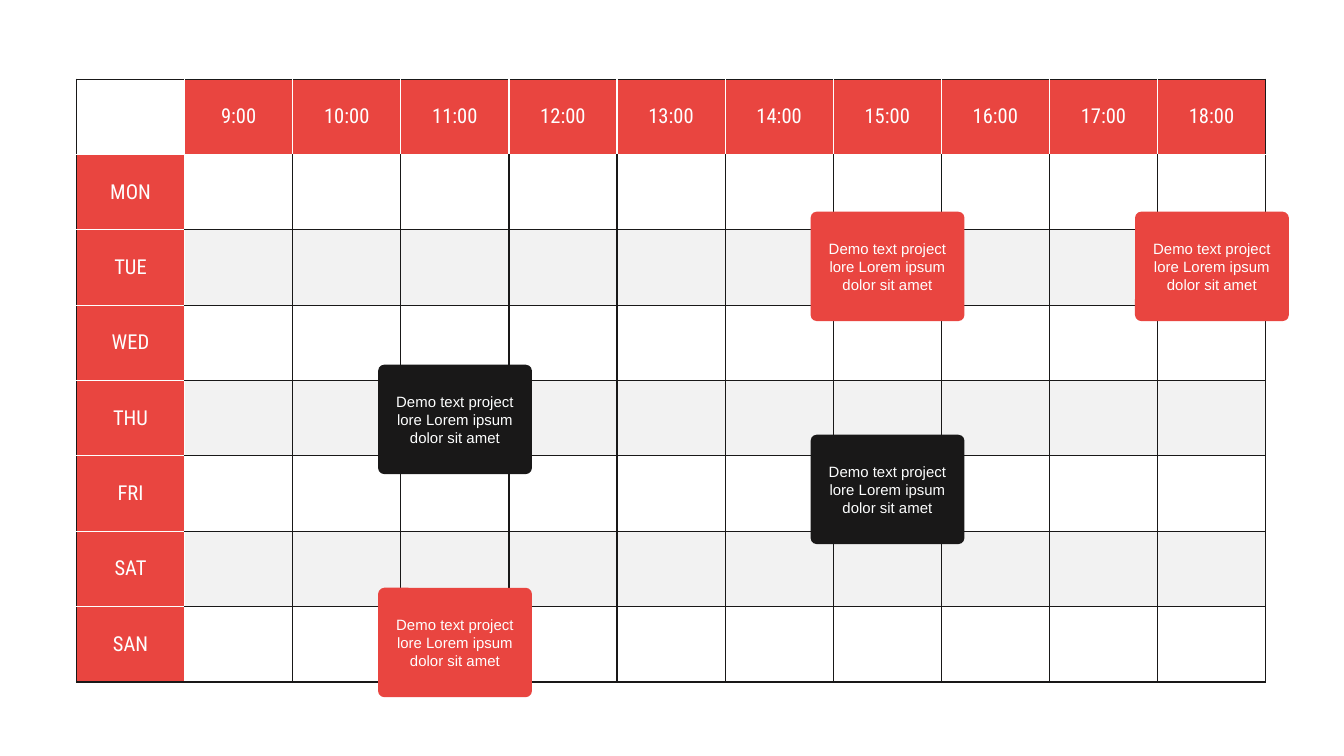
from lxml import etree
from pptx import Presentation
from pptx.dml.color import RGBColor
from pptx.enum.shapes import MSO_SHAPE as SHAPE
from pptx.enum.text import MSO_ANCHOR as ANCHOR, PP_ALIGN as ALIGN
from pptx.oxml.ns import qn
from pptx.util import Pt

COLORS = {"red": "E94540", "dark": "191818", "white": "FEFFFF", "band": "E7E7E7"}
HOURS = [f"{hour}:00" for hour in range(9, 19)]
DAYS = ["MON", "TUE", "WED", "THU", "FRI", "SAT", "SAN"]
EVENT_TEXT = "Demo text project lore Lorem ipsum dolor sit amet"
# Column of the hour, top within the timetable, fill
EVENTS = [
    (7, 71, "red"),
    (3, 153, "dark"),
    (7, 190.5, "dark"),
    (3, 272.5, "red"),
    (10, 71, "red"),
]
ROWS, COLS = len(DAYS) + 1, len(HOURS) + 1
TIMETABLE_BOX = (41, 42.4, 637.23, 323.04)
EVENT_SIZE = (82.4, 58.6)


def rgb(name):
    return RGBColor.from_string(COLORS[name])


def write(tf, text, font, size):
    p = tf.paragraphs[0]
    p.alignment = ALIGN.CENTER
    r = p.add_run()
    r.text = text
    r.font.name = font
    r.font.size = Pt(size)
    r.font.color.rgb = rgb("white")


def set_borders(cell, row, col):
    """Dark lines, but white on the inner sides of the header row and column."""
    header = row == 0 or col == 0
    sides = {
        "a:lnL": col > 0 and (row == 0 or col == 1),
        "a:lnR": col < COLS - 1 and header,
        "a:lnT": row > 0 and (col == 0 or row == 1),
        "a:lnB": row < ROWS - 1 and header,
    }
    tcPr = cell._tc.get_or_add_tcPr()
    for tag, is_white in sides.items():
        ln = etree.SubElement(tcPr, qn(tag), w=str(Pt(0.75)))
        fill = etree.SubElement(ln, qn("a:solidFill"))
        color = COLORS["white" if is_white else "dark"]
        etree.SubElement(fill, qn("a:srgbClr"), val=color)


def fill_cell(cell, row, col):
    if (row == 0) != (col == 0):
        cell.fill.solid()
        cell.fill.fore_color.rgb = rgb("red")
    elif row and row % 2 == 0:
        cell.fill.solid()
        cell.fill.fore_color.rgb = rgb("band")
        color = cell._tc.tcPr.find(qn("a:solidFill"))[0]
        etree.SubElement(color, qn("a:alpha"), val="50000")
    else:
        cell.fill.background()


def add_timetable(slide, left, top, width, height):
    frame = slide.shapes.add_table(ROWS, COLS, Pt(left), Pt(top), Pt(width), Pt(height))
    table = frame.table
    table.first_row = table.horz_banding = False
    for column in table.columns:
        column.width = Pt(width / COLS)
    for row in table.rows:
        row.height = Pt(height / ROWS)

    for row in range(ROWS):
        for col in range(COLS):
            cell = table.cell(row, col)
            set_borders(cell, row, col)
            fill_cell(cell, row, col)
            cell.vertical_anchor = ANCHOR.MIDDLE
            cell.margin_left = cell.margin_right = Pt(2.9)
            cell.margin_top = cell.margin_bottom = Pt(1.4)
            if (row == 0) != (col == 0):
                label = HOURS[col - 1] if row == 0 else DAYS[row - 1]
                write(cell.text_frame, label, "Roboto Condensed", 11)


def add_event(slide, left, top, width, height, color):
    sp = slide.shapes.add_shape(
        SHAPE.ROUNDED_RECTANGLE, Pt(left), Pt(top), Pt(width), Pt(height))
    sp.adjustments[0] = 0.056
    sp.shadow.inherit = False
    sp.fill.solid()
    sp.fill.fore_color.rgb = rgb(color)
    sp.line.fill.background()
    tf = sp.text_frame
    tf.word_wrap = True
    tf.vertical_anchor = ANCHOR.MIDDLE
    tf.margin_left = tf.margin_right = tf.margin_top = tf.margin_bottom = Pt(1.5)
    write(tf, EVENT_TEXT, "Arial", 8)


def add_events(slide, left, top, width, height):
    """Centre each event on its hour column of the timetable box."""
    event_width, event_height = EVENT_SIZE
    for col, offset, color in EVENTS:
        center = left + (col + 0.5) * width / COLS
        add_event(slide, center - event_width / 2, top + offset,
                  event_width, event_height, color)


def main():
    prs = Presentation()
    prs.slide_width, prs.slide_height = Pt(720), Pt(405)
    slide = prs.slides.add_slide(prs.slide_layouts[6])
    add_timetable(slide, *TIMETABLE_BOX)
    add_events(slide, *TIMETABLE_BOX)
    prs.save("out.pptx")


if __name__ == "__main__":
    main()
